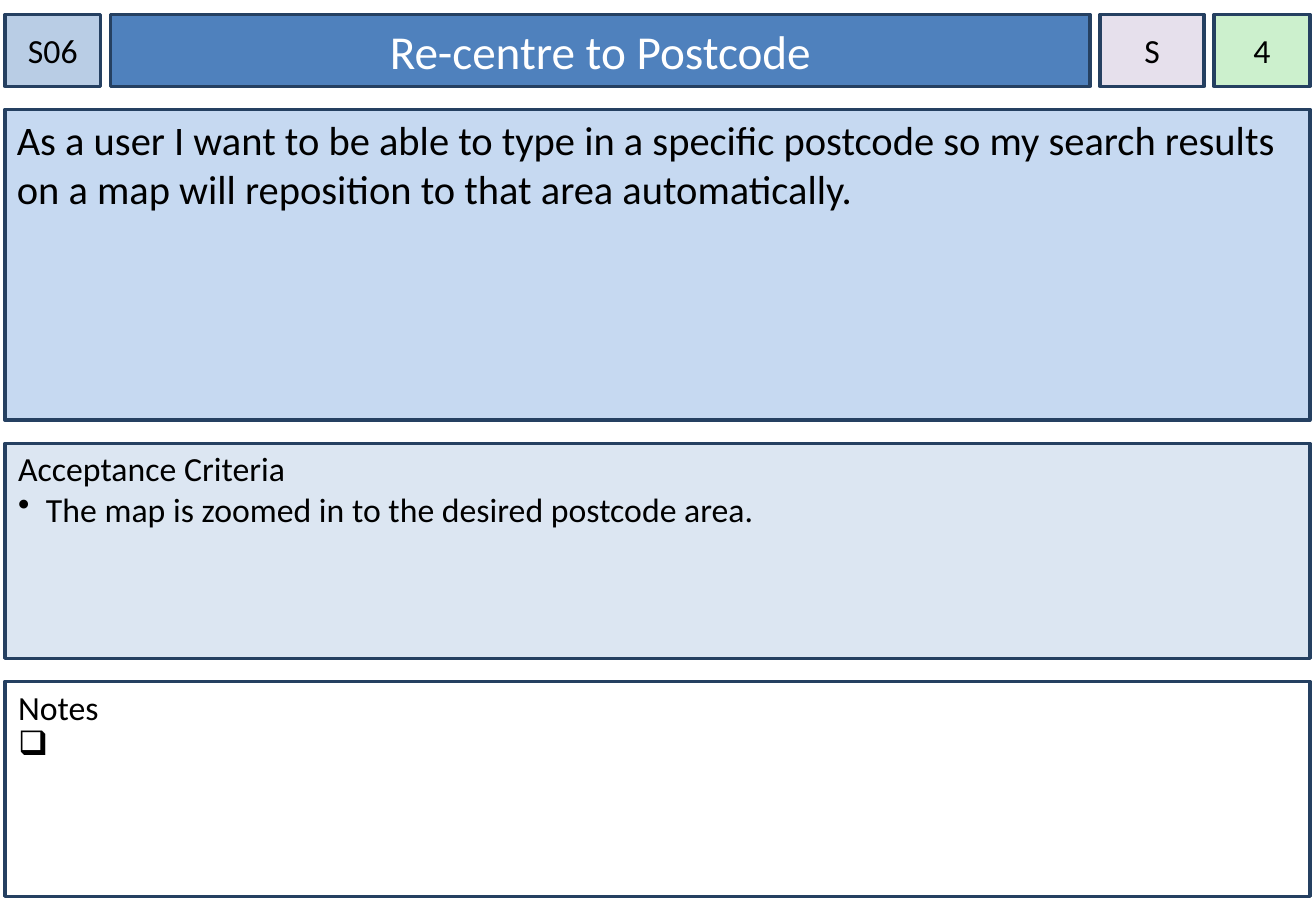
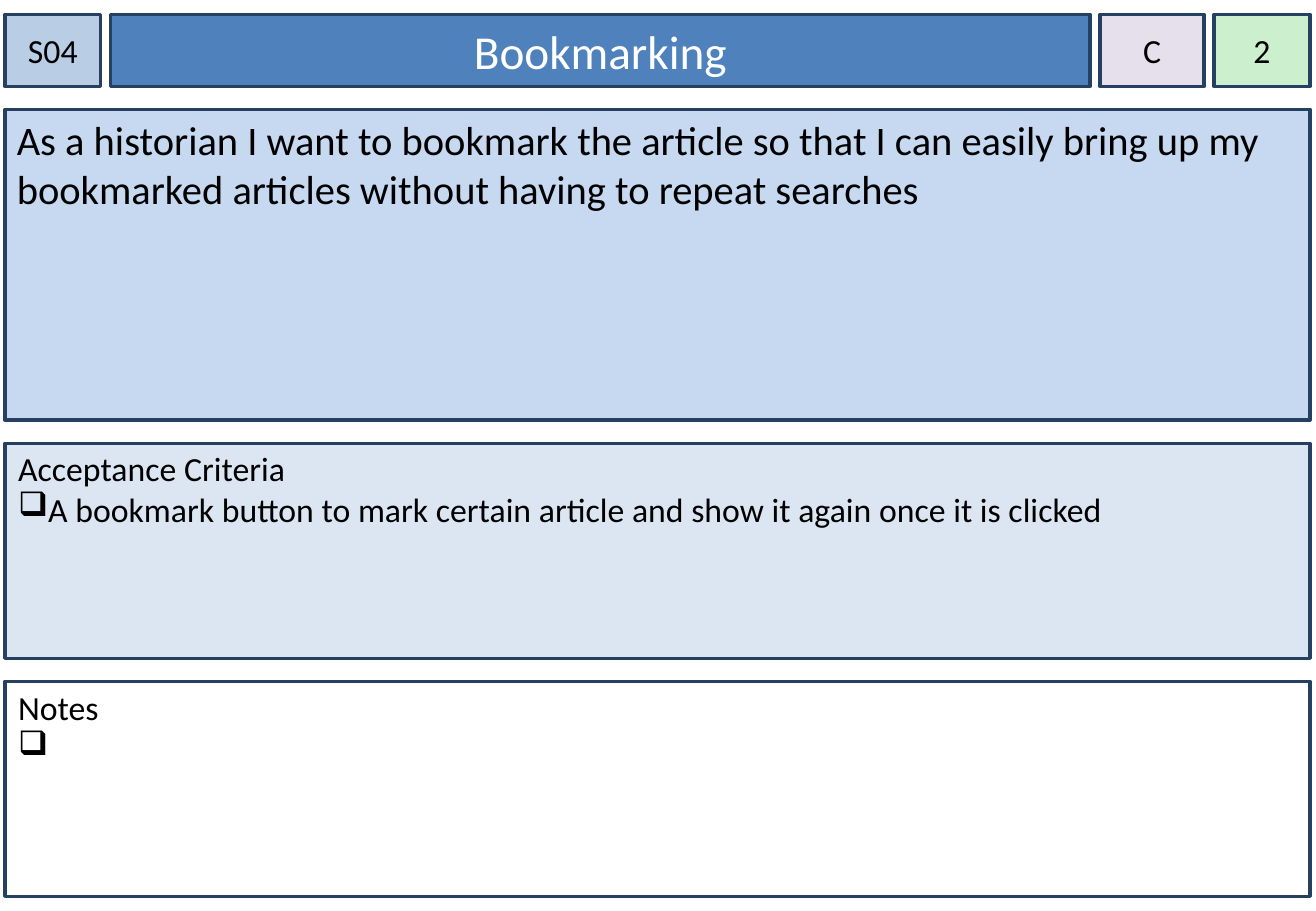
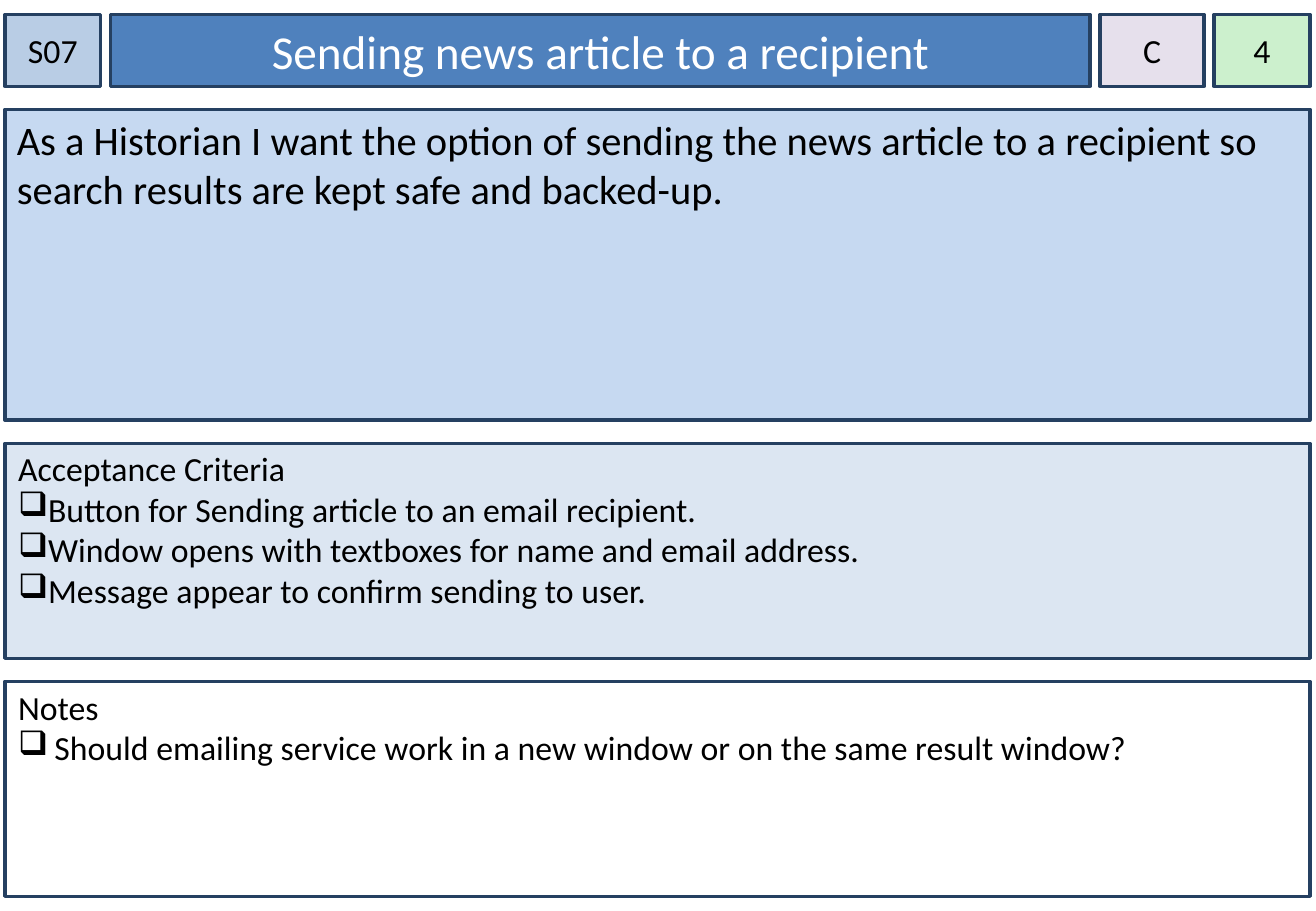
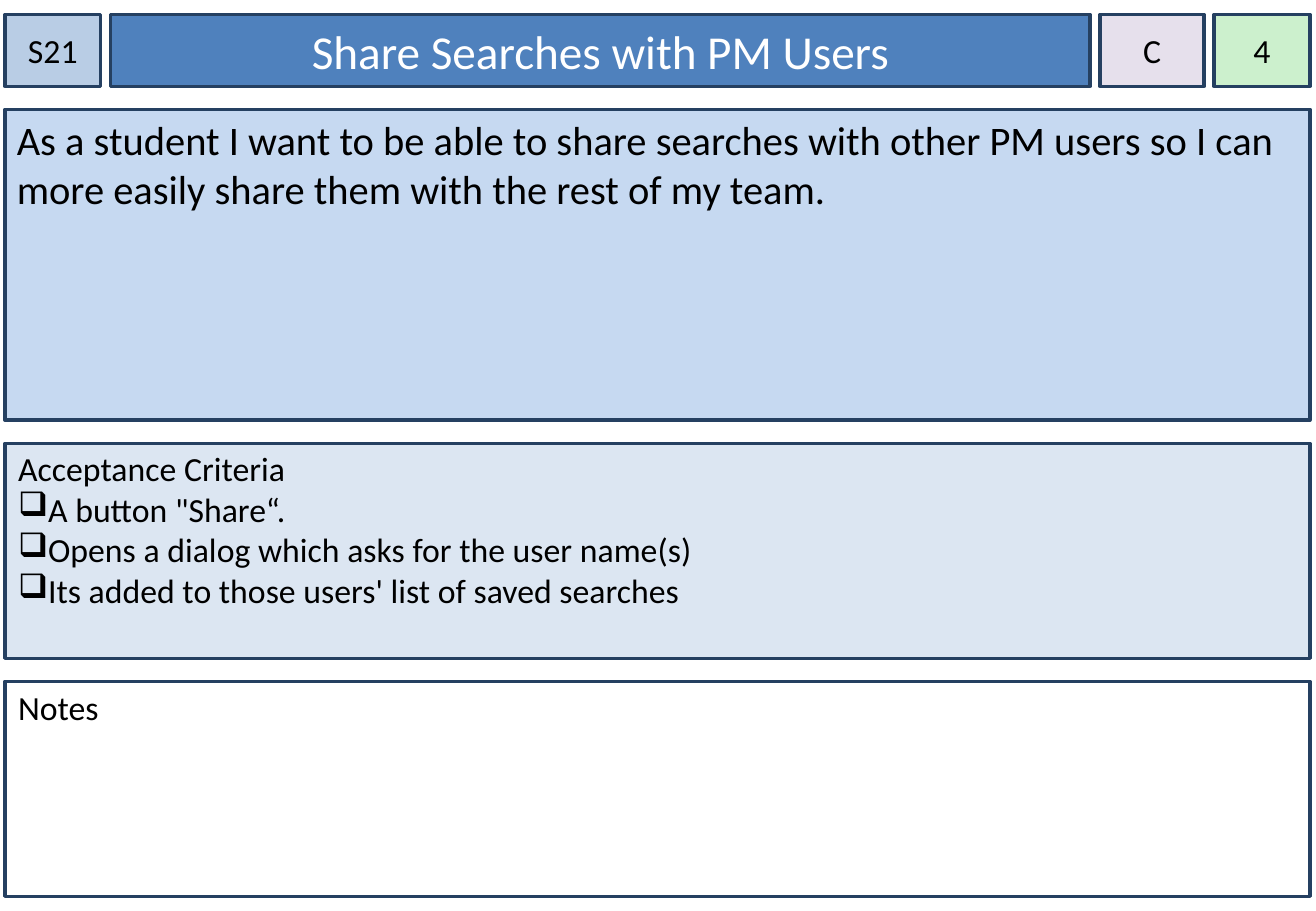
from lxml.etree import SubElement
from pptx import Presentation
from pptx.dml.color import RGBColor
from pptx.enum.shapes import MSO_SHAPE
from pptx.enum.text import MSO_ANCHOR, PP_ALIGN
from pptx.oxml.ns import qn
from pptx.util import Inches, Pt

# Content: one story card per slide; list items are (bullet, text)
DOT, BOX = "•", "❑"
STORIES = [
    {
        "id": "S06", "title": "Re-centre to Postcode", "priority": "S", "points": "4",
        "story": "As a user I want to be able to type in a specific postcode so my "
                 "search results on a map will reposition to that area automatically.",
        "criteria": [(DOT, "The map is zoomed in to the desired postcode area.")],
        "notes": [(BOX, " ")],
    },
    {
        "id": "S04", "title": "Bookmarking", "priority": "C", "points": "2",
        "story": "As a historian I want to bookmark the article so that I can easily "
                 "bring up my bookmarked articles without having to repeat searches",
        "criteria": [(BOX, "A bookmark button to mark certain article and show it "
                           "again once it is clicked")],
        "notes": [(BOX, " ")],
    },
    {
        "id": "S07", "title": "Sending news article to a recipient",
        "priority": "C", "points": "4",
        "story": "As a Historian I want the option of sending the news article to a "
                 "recipient so search results are kept safe and backed-up.",
        "criteria": [
            (BOX, "Button for Sending article to an email recipient."),
            (BOX, "Window opens with textboxes for name and email address."),
            (BOX, "Message appear to confirm sending to user."),
        ],
        "notes": [(BOX, "Should emailing service work in a new window or on the "
                        "same result window?")],
    },
    {
        "id": "S21", "title": "Share Searches with PM Users",
        "priority": "C", "points": "4",
        "story": "As a student I want to be able to share searches with other PM users "
                 "so I can more easily share them with the rest of my team.",
        "criteria": [
            (BOX, 'A button "Share“.'),
            (BOX, "Opens a dialog which asks for the user name(s)"),
            (BOX, "Its added to those users' list of saved searches"),
        ],
        "notes": [],
    },
]

# Shared style
FONT = "Calibri"
COLORS = {
    "id": "B9CDE5", "title": "4F81BD", "priority": "E6E0EC", "points": "CCF0CD",
    "story": "C6D9F1", "criteria": "DCE6F2", "notes": "FFFFFF",
    "border": "254061", "text": "000000", "title_text": "FFFFFF",
}

# Shared layout, in inches
LEFT, TOP = 0.04, 0.12
HEADER_HEIGHT, HEADER_GAP = 0.59, 0.08
HEADER_WIDTHS = {"id": 0.79, "title": 8.07, "priority": 0.86, "points": 0.79}
PANEL_WIDTH, PANEL_GAP = 10.75, 0.19
PANEL_HEIGHTS = {"story": 2.56, "criteria": 1.77, "notes": 1.77}
FIRST_LINE = 0.01
LIST_INDENT = {"criteria": 0.24, "notes": 0.31}


def add_panel(slide, part, left, top, width, height, inset=0.1, inset_top=0.05,
              anchor=MSO_ANCHOR.TOP):
    """Add the bordered rectangle of a card part and return its text frame."""
    panel = slide.shapes.add_shape(MSO_SHAPE.RECTANGLE, Inches(left), Inches(top),
                                   Inches(width), Inches(height))
    panel.shadow.inherit = False
    panel.fill.solid()
    panel.fill.fore_color.rgb = RGBColor.from_string(COLORS[part])
    panel.line.color.rgb = RGBColor.from_string(COLORS["border"])
    panel.line.width = Pt(2)
    frame = panel.text_frame
    frame.word_wrap = True
    frame.vertical_anchor = anchor
    frame.margin_left = frame.margin_right = Inches(inset)
    frame.margin_top, frame.margin_bottom = Inches(inset_top), Inches(0.05)
    return frame


def write(frame, text, size=20, color="text", align=PP_ALIGN.LEFT, bullet=None,
          indent=0):
    """Write one paragraph, filling the first paragraph of the frame if unused."""
    paragraph = frame.paragraphs[0]
    if paragraph.runs:
        paragraph = frame.add_paragraph()
    paragraph.alignment = align
    if indent:
        properties = paragraph._p.get_or_add_pPr()
        properties.set("marL", str(Inches(indent)))
        properties.set("indent", str(Inches(FIRST_LINE - indent)))
        if bullet:
            bullet_color = SubElement(properties, qn("a:buClr"))
            SubElement(bullet_color, qn("a:srgbClr"), val=COLORS["text"])
            SubElement(properties, qn("a:buChar"), char=bullet)
    run = paragraph.add_run()
    run.text = text
    run.font.name, run.font.size = FONT, Pt(size)
    run.font.color.rgb = RGBColor.from_string(COLORS[color])


def add_header(slide, card):
    left = LEFT
    for part, width in HEADER_WIDTHS.items():
        is_title = part == "title"
        frame = add_panel(slide, part, left, TOP, width, HEADER_HEIGHT,
                          inset=0.1 if is_title else 0, anchor=MSO_ANCHOR.MIDDLE)
        write(frame, card[part], size=28 if is_title else 20,
              color="title_text" if is_title else "text", align=PP_ALIGN.CENTER)
        left += width + HEADER_GAP


def add_body(slide, card):
    top = TOP + HEADER_HEIGHT + PANEL_GAP
    headings = {"criteria": "Acceptance Criteria", "notes": "Notes"}
    for part, height in PANEL_HEIGHTS.items():
        frame = add_panel(slide, part, LEFT, top, PANEL_WIDTH, height,
                          inset_top=0.04 if part in headings else 0.05)
        if part in headings:
            indent = LIST_INDENT[part]
            write(frame, headings[part], indent=indent)
            for bullet, text in card[part]:
                write(frame, text, bullet=bullet, indent=indent)
        else:
            write(frame, card[part], size=24)
        top += height + PANEL_GAP


def main():
    deck = Presentation()
    deck.slide_width, deck.slide_height = Inches(10.84), Inches(7.5)
    blank = deck.slide_layouts[6]
    for card in STORIES:
        slide = deck.slides.add_slide(blank)
        add_header(slide, card)
        add_body(slide, card)
    deck.save("out.pptx")


if __name__ == "__main__":
    main()
